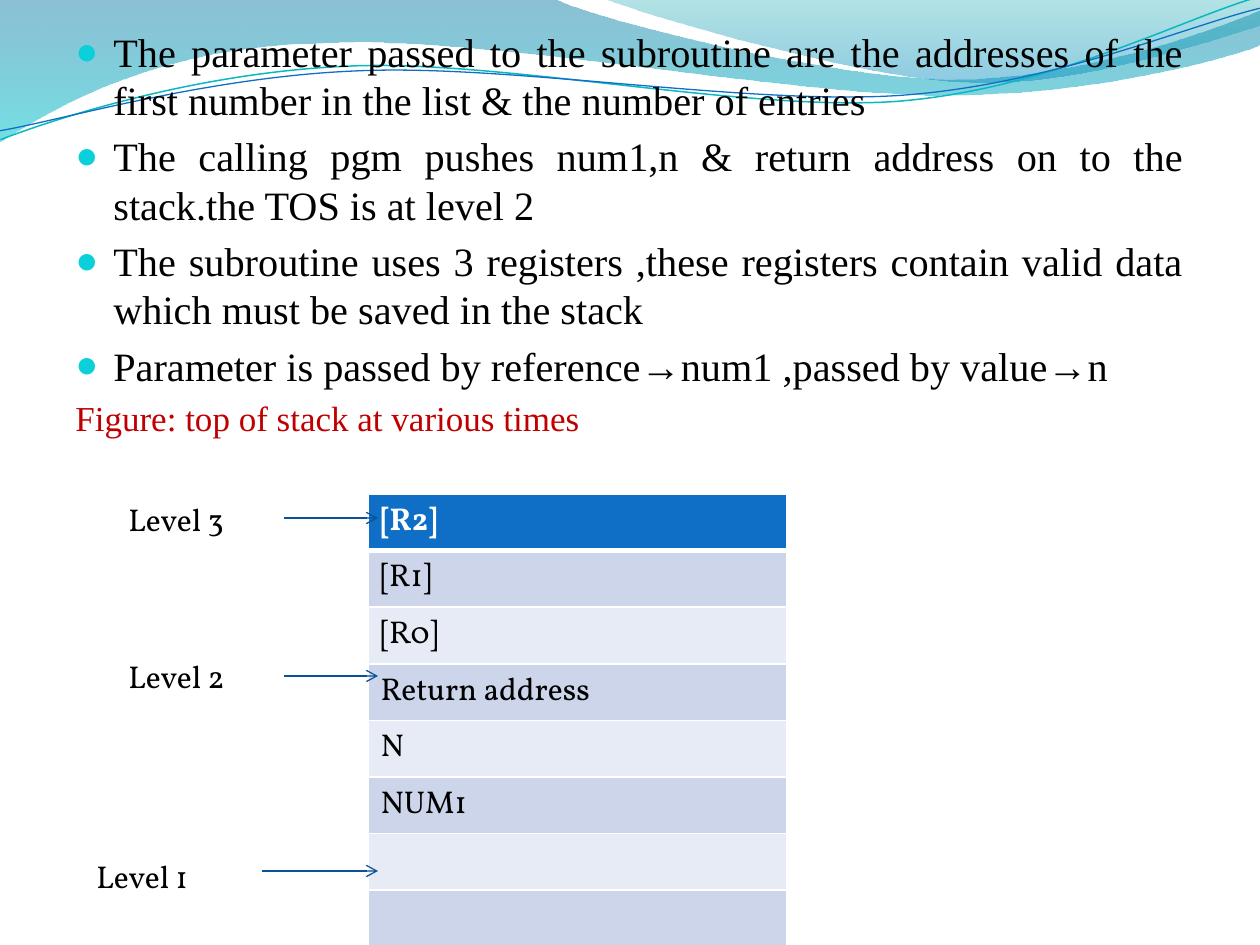
from pptx import Presentation
from pptx.dml.color import RGBColor
from pptx.enum.shapes import MSO_CONNECTOR
from pptx.enum.text import PP_ALIGN
from pptx.oxml.ns import qn
from pptx.util import Emu, Inches, Pt
from lxml.etree import SubElement, fromstring

SCALE = 914400 / 126
COLORS = {
    "black": "000000", "white": "FFFFFF", "red": "C00000", "bullet": "0BD0D9",
    "header": "0F6FC6", "band": "CCD5EA", "light": "E7EBF5", "arrow": "095295",
    "teal": "0AB8BF", "blue": "0F6FC6", "sea": "0074A1", "aqua": "00C6CF",
    "green": "00A1A9", "sky": "008BBF",
}
NAMESPACE = "http://schemas.openxmlformats.org/drawingml/2006/main"


def px(*lengths):
    return [Emu(round(length * SCALE)) for length in lengths]


def add_span(para, text, size, font, color, bold=False):
    span = para.add_run()
    span.text = text
    span.font.size = Pt(size)
    span.font.name = font
    span.font.bold = bold
    span.font.color.rgb = RGBColor.from_string(COLORS[color])


deck = Presentation()
deck.slide_width, deck.slide_height = Inches(10), Inches(7.5)
page = deck.slides.add_slide(deck.slide_layouts[6])

waves = [
    ([(0, 0), (554, -1), (600, 21, 837, 79, 955, 79), (1074, 79, 1207, 33, 1260, 11),
      (1261, 45), (1239, 55, 1096, 96, 940, 95), (784, 95, 481, 35, 324, 43),
      (163, 45, 58, 105, -1, 142)], [("sea", 45), ("aqua", 55)], None),
    ([(604, -1), (641, 14, 859, 78, 969, 82), (1079, 87, 1211, 40, 1260, 26),
      (1260, 0)], [("green", 30), ("sky", 45)], None),
    ([(-2, 110), (59, 90, 199, 52, 350, 53), (499, 53, 745, 118, 896, 114),
      (1049, 109, 1184, 45, 1260, 27)], None, ("teal", 0.85)),
    ([(-2, 101), (57, 94, 207, 57, 357, 58), (509, 58, 750, 112, 902, 108),
      (1052, 104, 1189, 52, 1262, 38)], None, ("blue", 0.75)),
]
for steps, stops, stroke in waves:
    anchors = [px(*step[-2:]) for step in steps]
    builder = page.shapes.build_freeform(*anchors[0])
    builder.add_line_segments(anchors[1:], close=stops is not None)
    wave = builder.convert_to_shape()
    wave.shadow.inherit = False
    segments = wave.element.spPr.findall(".//" + qn("a:lnTo"))
    for segment, step in zip(segments, steps[1:]):
        if len(step) == 6:
            curve = SubElement(segment.getparent(), qn("a:cubicBezTo"))
            segment.getparent().replace(segment, curve)
            for x, y in zip(px(*step[::2]), px(*step[1::2])):
                SubElement(curve, qn("a:pt"), x=str(x - wave.left), y=str(y - wave.top))
    if stops:
        wave.line.fill.background()
        wave.fill.gradient()
        wave.fill.gradient_angle = 270
        for stop, (color, opacity) in zip(wave.fill.gradient_stops, stops):
            stop.color.rgb = RGBColor.from_string(COLORS[color])
        tints = wave.element.spPr.findall(".//" + qn("a:gs") + "/" + qn("a:srgbClr"))
        for tint, (color, opacity) in zip(tints, stops):
            SubElement(tint, qn("a:alpha"), val=str(opacity * 1000))
    else:
        wave.rotation = 357.3
        wave.fill.background()
        wave.line.color.rgb = RGBColor.from_string(COLORS[stroke[0]])
        wave.line.width = Pt(stroke[1])

points_text = [
    "The parameter passed to the subroutine are the addresses of the first number in the list & the number of entries",
    "The calling pgm pushes num1,n & return address on to the stack.the TOS is at level 2",
    "The subroutine uses 3 registers ,these registers contain valid data which must be saved in the stack",
    "Parameter is passed by reference→num1 ,passed by value→n",
]
body = page.shapes.add_textbox(*px(63, 21, 1134, 903)).text_frame
body.word_wrap = True
for index, text in enumerate(points_text):
    para = body.paragraphs[0] if index == 0 else body.add_paragraph()
    indent = px(38)[0]
    props = para._p.get_or_add_pPr()
    props.set("marL", str(indent))
    props.set("indent", str(-indent))
    bullet_color = SubElement(props, qn("a:buClr"))
    SubElement(bullet_color, qn("a:srgbClr"), val=COLORS["bullet"])
    SubElement(props, qn("a:buSzPct"), val="95000")
    SubElement(props, qn("a:buFont"), typeface="Times New Roman")
    SubElement(props, qn("a:buChar"), char="●")
    para.alignment = PP_ALIGN.JUSTIFY
    if index:
        para.space_before = Pt(4.6)
    add_span(para, text, 23, "Times New Roman", "black")
caption = body.add_paragraph()
caption.alignment = PP_ALIGN.JUSTIFY
caption.space_before = Pt(4)
add_span(caption, "Figure: top of stack at various times", 20, "Times New Roman", "red")

entries = ["[R2]", "[R1]", "[R0]", "Return address", "N", "NUM1", "", ""]
stack = page.shapes.add_table(len(entries), 1, *px(368, 494, 419, 453)).table
for index, entry in enumerate(entries):
    cell = stack.cell(index, 0)
    fill = "header" if index == 0 else ("band" if index % 2 else "light")
    cell.fill.solid()
    cell.fill.fore_color.rgb = RGBColor.from_string(COLORS[fill])
    if entry:
        add_span(cell.text_frame.paragraphs[0], entry, 18, "Vollkorn",
                 "black" if index else "white", bold=index == 0)
    widths = {"lnL": 1, "lnR": 1, "lnT": 3 if index == 1 else 1, "lnB": 1 if index else 3}
    for place, (side, width) in enumerate(widths.items()):
        border = fromstring(
            f'<a:{side} xmlns:a="{NAMESPACE}" w="{Pt(width)}"><a:solidFill>'
            f'<a:srgbClr val="{COLORS["white"]}"/></a:solidFill></a:{side}>')
        cell._tc.get_or_add_tcPr().insert(place, border)

levels = [
    ("Level 1", 84, 851, 179, 262, 871),
    ("Level 2", 116, 651, 168, 284, 676),
    ("Level 3", 116, 494, 147, 284, 518),
]
for label, left, top, width, start, middle in levels:
    box = page.shapes.add_textbox(*px(left, top, width, 50)).text_frame
    box.word_wrap = True
    add_span(box.paragraphs[0], label, 18, "Vollkorn", "black")
    arrow = page.shapes.add_connector(MSO_CONNECTOR.STRAIGHT, *px(start, middle, 378, middle))
    arrow.line.color.rgb = RGBColor.from_string(COLORS["arrow"])
    arrow.line.width = Pt(0.75)
    SubElement(arrow.line._get_or_add_ln(), qn("a:tailEnd"), type="arrow")
    SubElement(arrow._element.spPr, qn("a:effectLst"))

deck.save("out.pptx")
